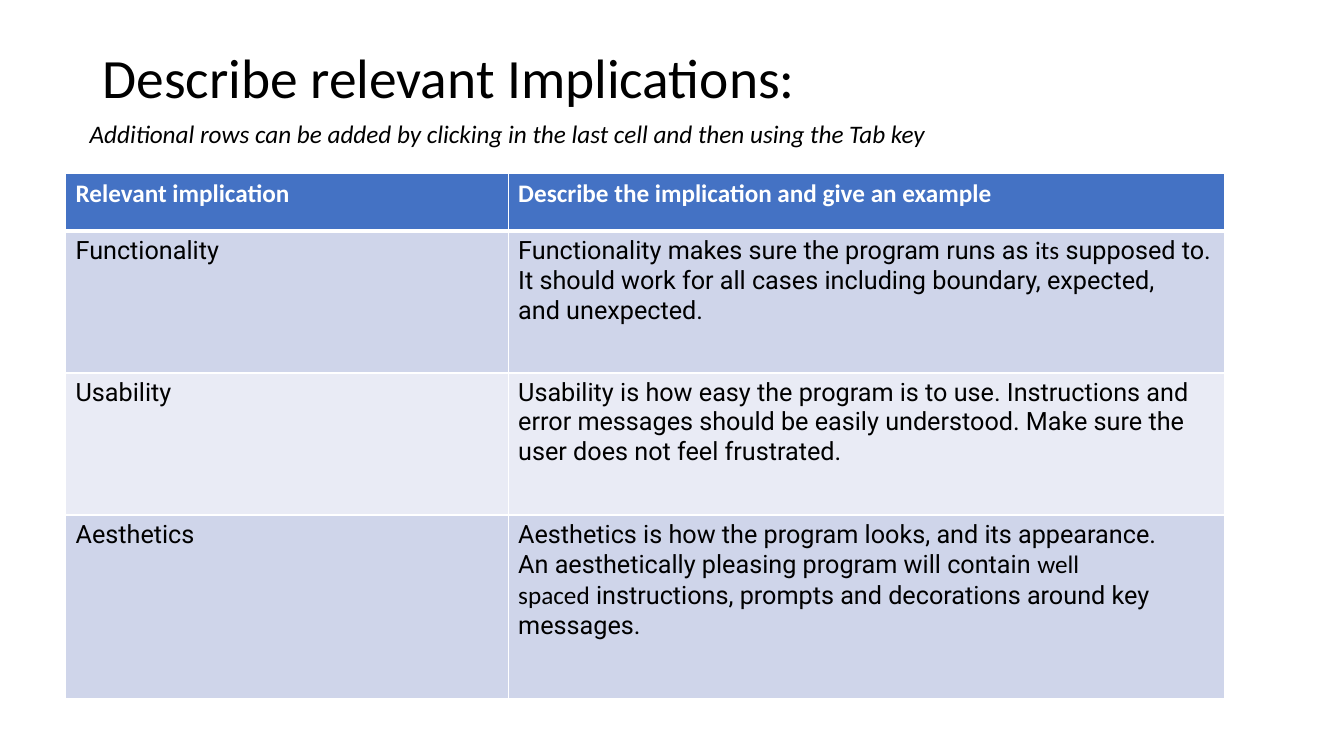
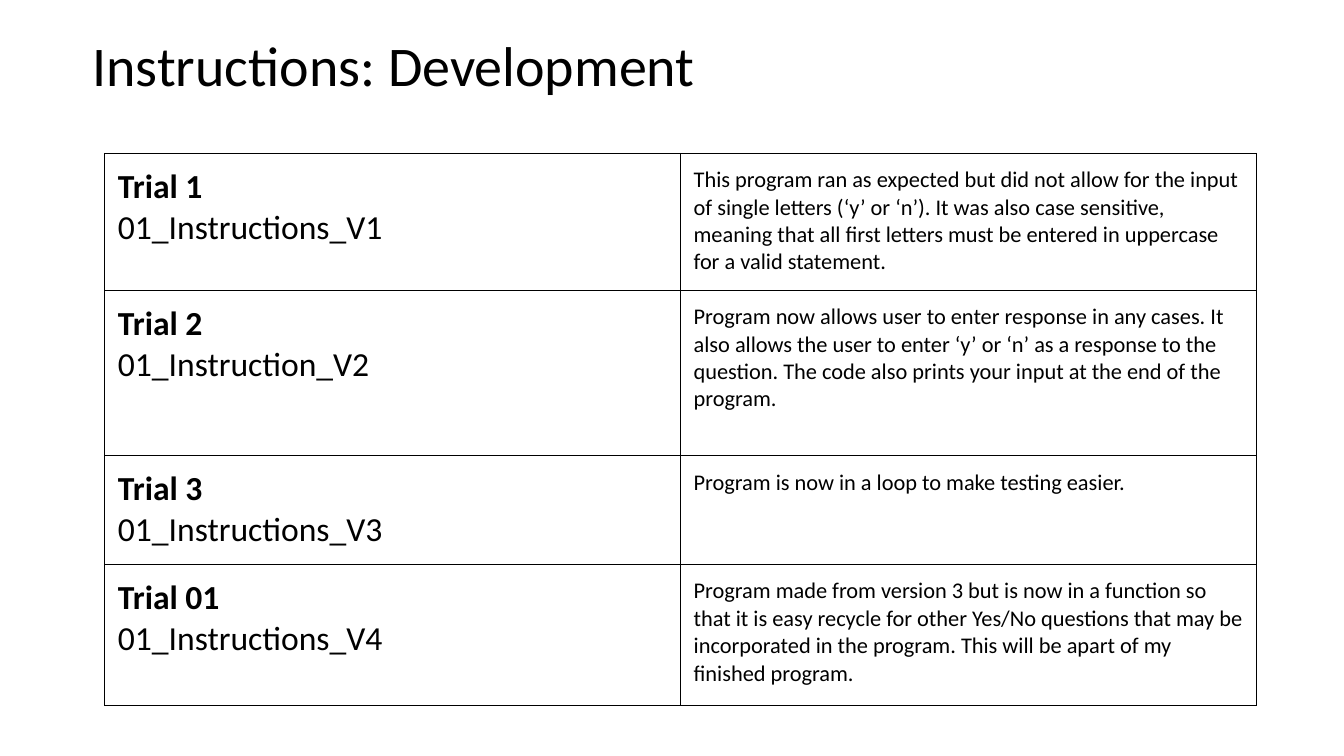
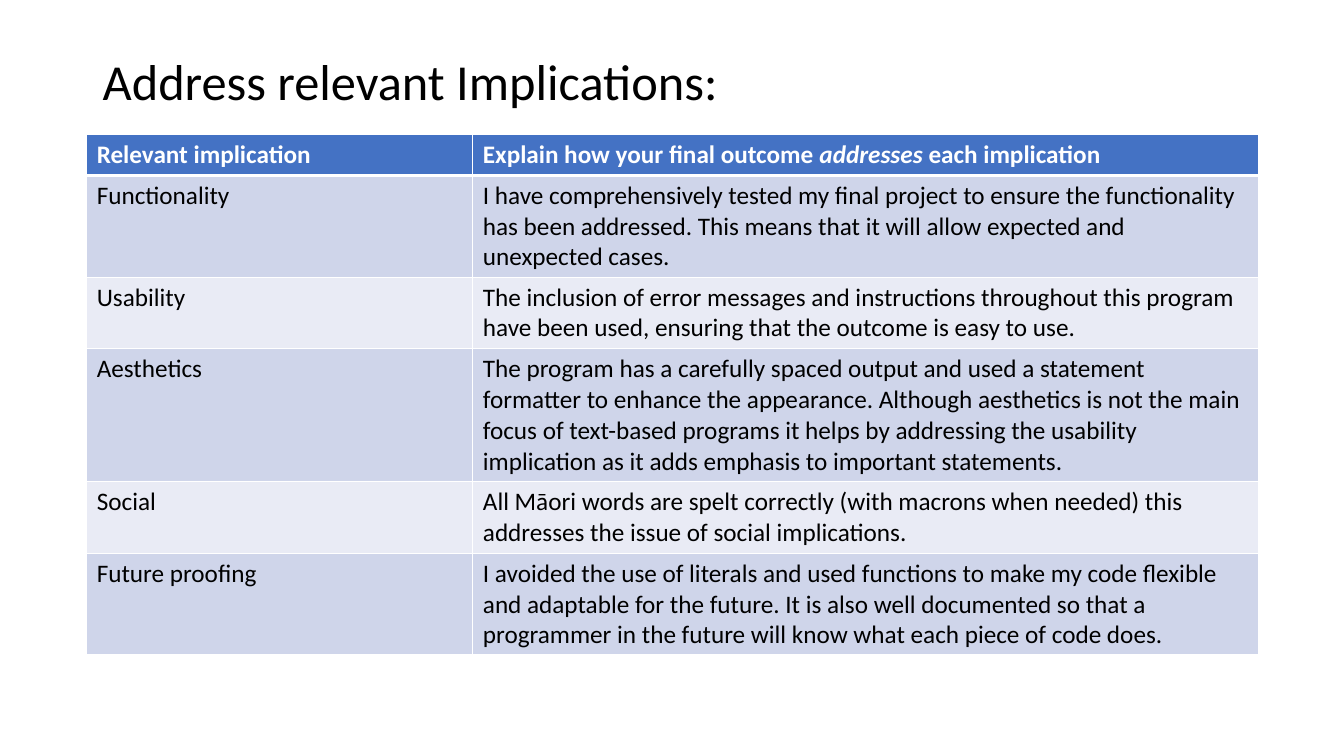
from dataclasses import dataclass

from lxml import etree
from pptx import Presentation
from pptx.dml.color import RGBColor
from pptx.enum.text import MSO_ANCHOR, MSO_AUTO_SIZE
from pptx.oxml.ns import qn
from pptx.util import Inches, Pt

MIDDLE = MSO_ANCHOR.MIDDLE
TOP = MSO_ANCHOR.TOP
GROW = MSO_AUTO_SIZE.SHAPE_TO_FIT_TEXT
NBSP = chr(160)  # written as ~ in the texts below


@dataclass(frozen=True)
class Theme:
    font: str = "Calibri"
    alt: str = "Roboto"
    black: str = "000000"
    white: str = "FFFFFF"
    head: str = "4472C4"
    bands: tuple = ("CFD5EA", "E9EBF5")
    body: int = 18
    trial: int = 24
    note: int = 16
    thin: float = 0.75
    rule: int = 1
    thick: int = 3


THEME = Theme()
PLAIN = {"name": THEME.font, "size": THEME.body, "color": THEME.black}
HEAD = PLAIN | {"color": THEME.white, "bold": True}
ROBOTO = PLAIN | {"name": THEME.alt}
TRIAL = PLAIN | {"size": THEME.trial}
NOTE = PLAIN | {"size": THEME.note}
CALIBRI = {"name": THEME.font}

DESCRIBE = [
    ("Functionality", [
        "Functionality makes sure the program runs as~", ("its", CALIBRI),
        "~supposed to. It~should work for all cases including boundary, "
        "expected, and~unexpected.~"]),
    ("Usability", [
        "Usability is how easy the program is to use. Instructions and "
        "error~messages should be easily understood. Make sure the user "
        "does~not feel frustrated."]),
    ("Aesthetics", [
        "Aesthetics is how the program looks, and its appearance. "
        "An~aesthetically pleasing program will contain~",
        ("well spaced", CALIBRI),
        "~instructions,~prompts and decorations around key messages."]),
]
TRIALS = [
    ("Trial 1", "01_Instructions_V1",
     "This program ran as expected but did not allow for the input of single "
     "letters (‘y’ or ‘n’). It was also case sensitive, meaning that all first "
     "letters must be entered in uppercase for a valid statement."),
    ("Trial 2", "01_Instruction_V2",
     "Program now allows user to enter response in any cases. It also allows "
     "the user to enter ‘y’ or ‘n’ as a response to the question. The code "
     "also prints your input at the end of the program."),
    ("Trial 3", "01_Instructions_V3",
     "Program is now in a loop to make testing easier."),
    ("Trial 01", "01_Instructions_V4",
     "Program made from version 3 but is now in a function so that it is easy "
     "recycle for other Yes/No questions that may be incorporated in the "
     "program. This will be apart of my finished program."),
]
ADDRESS = [
    ("Functionality", [
        "I have comprehensively tested my final project to ensure the "
        "functionality has been addressed. This means that it will allow "
        "expected and unexpected cases."]),
    ("Usability", [
        "The inclusion of error messages and instructions throughout this "
        "program have been used, ensuring that the outcome is easy to use."]),
    ("Aesthetics", [
        "The program has a carefully spaced output and used a statement "
        "formatter to enhance the appearance. Although aesthetics is not the "
        "main focus of text-based programs it helps by addressing the "
        "usability implication as it adds emphasis to important statements."]),
    ("Social", [
        "All Māori words are spelt correctly (with macrons when needed) this "
        "addresses the issue of social implications."]),
    ("Future proofing", [
        "I avoided the use of literals and used functions to make my code "
        "flexible and adaptable for the future. It is also well documented so "
        "that a programmer in the future will know what each piece of code "
        "does."]),
]


def style(font, form):
    for key, val in form.items():
        if key == "color":
            font.color.rgb = RGBColor.from_string(val)
        else:
            setattr(font, key, Pt(val) if key == "size" else val)


def write(frame, lines, form):
    """Fill a frame; a line is a list of strings or (string, format) pairs."""
    for i, line in enumerate(lines):
        para = frame.paragraphs[0] if i == 0 else frame.add_paragraph()
        for part in line:
            text, extra = (part, {}) if isinstance(part, str) else part
            run = para.add_run()
            run.text = text.replace("~", NBSP)
            style(run.font, form | extra)


def add_text(slide, box, text, form, anchor=TOP, space=1.0):
    frame = slide.shapes.add_textbox(*map(Inches, box)).text_frame
    frame.word_wrap = True
    frame.vertical_anchor = anchor
    write(frame, [[text]], form)
    frame.paragraphs[0].line_spacing = space
    return frame


def add_title(slide, box, text, size, space):
    add_text(slide, box, text, PLAIN | {"size": size}, MIDDLE, space)


def add_grid(slide, left, top, cols, rows):
    """Add a table without banding, with columns and rows of given sizes."""
    box = map(Inches, (left, top, sum(cols), sum(rows)))
    table = slide.shapes.add_table(len(rows), len(cols), *box).table
    table.first_row = table.horz_banding = False
    for col, width in zip(table.columns, cols):
        col.width = Inches(width)
    for row, height in zip(table.rows, rows):
        row.height = Inches(height)
    return table


def edge(cell, color, widths):
    """Draw the left, right, top and bottom borders of a cell."""
    props = cell._tc.get_or_add_tcPr()
    for i, (side, width) in enumerate(zip("LRTB", widths)):
        line = etree.Element(qn(f"a:ln{side}"), w=str(Pt(width)))
        fill = etree.SubElement(line, qn("a:solidFill"))
        etree.SubElement(fill, qn("a:srgbClr"), val=color)
        props.insert(i, line)


def paint(cell, color):
    cell.fill.solid()
    cell.fill.fore_color.rgb = RGBColor.from_string(color)


def add_list(slide, left, top, cols, rows, head, items, form):
    """Add a banded table of implications under a blue heading row."""
    table = add_grid(slide, left, top, cols, rows)
    for r, texts in enumerate([("Relevant implication", head), *items]):
        fill = THEME.bands[(r - 1) % 2] if r else THEME.head
        over = THEME.thick if r == 1 else THEME.rule
        under = THEME.rule if r else THEME.thick
        for c, line in enumerate(texts):
            cell = table.cell(r, c)
            write(cell.text_frame, [[line] if c == 0 else line],
                  form if r else HEAD)
            paint(cell, fill)
            edge(cell, THEME.white, (THEME.rule, THEME.rule, over, under))


def add_trials(slide, left, top, cols, rows, items):
    table = add_grid(slide, left, top, cols, rows)
    for r, (name, file, note) in enumerate(items):
        lines = [[(name, {"bold": True})], [file]]
        write(table.cell(r, 0).text_frame, lines, TRIAL)
        write(table.cell(r, 1).text_frame, [[note]], NOTE)
    for cell in table.iter_cells():
        cell.fill.background()
        edge(cell, THEME.black, [THEME.thin] * 4)
        for side in ("left", "right", "top", "bottom"):
            setattr(cell, f"margin_{side}", Inches(0.13))


def main():
    deck = Presentation()
    deck.slide_width, deck.slide_height = Inches(13.33), Inches(7.5)
    blank = deck.slide_layouts[6]
    first, second, third = (deck.slides.add_slide(blank) for _ in range(3))

    add_title(first, (0.92, 0.4, 11.5, 0.61),
              "Describe relevant Implications:", 39.6, 1.15)
    hint = add_text(first, (0.79, 1.12, 10.94, 0.4),
                    "Additional rows can be added by clicking in the last "
                    "cell and then using the Tab key",
                    PLAIN | {"italic": True})
    hint.auto_size = GROW
    add_list(first, 0.65, 1.72, (4.39, 7.11), (0.57, 1.41, 1.41, 1.82),
             ["Describe the implication and give an example"],
             DESCRIBE, ROBOTO)

    add_title(second, (0.82, 0.24, 11.5, 0.88),
              "Instructions: Development", 40, 0.9)
    add_trials(second, 1.04, 1.52, (5.71, 5.71), (1.36, 1.64, 1.08, 1.4),
               TRIALS)

    add_title(third, (0.92, 0.4, 11.5, 0.7),
              "Address relevant Implications:", 36, 1.15)
    add_list(third, 0.86, 1.33, (3.83, 7.79),
             (0.41, 1.01, 0.71, 1.32, 0.71, 1.01),
             ["Explain how your final outcome ",
              ("addresses", {"italic": True}), " each implication"],
             ADDRESS, PLAIN)

    deck.save("out.pptx")


if __name__ == "__main__":
    main()
